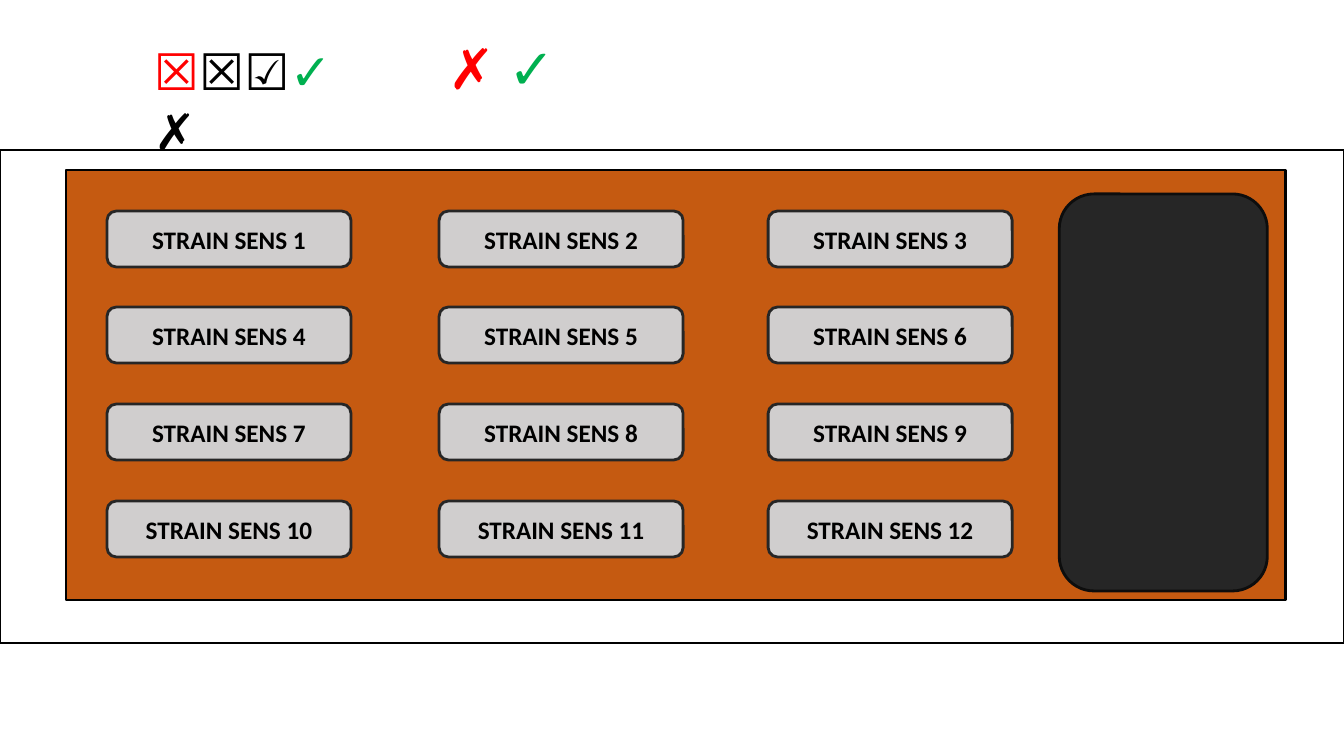
from lxml import etree
from pptx import Presentation
from pptx import util as u
from pptx.dml.color import RGBColor
from pptx.enum import shapes, text
from pptx.oxml.ns import qn

PX = 914400 / 100.8
COLORS = {
    "board": "C55A11", "sensor": "D0CECE", "dark": "262626", "edge": "0D0D0D",
    "black": "000000", "white": "FFFFFF", "red": "FF0000", "green": "00B050",
}
RECT = shapes.MSO_SHAPE.RECTANGLE
ROUND = shapes.MSO_SHAPE.ROUNDED_RECTANGLE

deck = Presentation()
deck.slide_width, deck.slide_height = u.Inches(13.33), u.Inches(7.5)
page = deck.slides.add_slide(deck.slide_layouts[6])


def add_block(kind, bounds, fill, line, weight=2):
    block = page.shapes.add_shape(kind, *[round(n * PX) for n in bounds])
    block.shadow.inherit = False
    if fill:
        block.fill.solid()
        block.fill.fore_color.rgb = RGBColor.from_string(COLORS[fill])
    else:
        block.fill.background()
    block.line.color.rgb = RGBColor.from_string(COLORS[line])
    block.line.width = u.Pt(weight)
    return block


def add_marks(bounds, size, marks):
    box = page.shapes.add_textbox(*[round(n * PX) for n in bounds])
    box.text_frame.word_wrap = True
    box.text_frame.auto_size = text.MSO_AUTO_SIZE.SHAPE_TO_FIT_TEXT
    for symbols, color, bold, outline in marks:
        span = box.text_frame.paragraphs[0].add_run()
        span.text = symbols
        span.font.name, span.font.size, span.font.bold = "Arial", u.Pt(size), bold
        span.font.color.rgb = RGBColor.from_string(COLORS[color])
        if outline:
            line = etree.Element(qn("a:ln"), w=str(u.Pt(0.75)))
            fill = etree.SubElement(line, qn("a:solidFill"))
            etree.SubElement(fill, qn("a:srgbClr"), val=COLORS[outline])
            span.font._element.insert(0, line)


# Row of check and cross symbols
add_marks((144, 35, 229, 72), 36, [
    ("☒", "red", False, None),
    ("☒☑", "black", False, None),
    ("✓", "green", True, "white"),
    ("✗", "black", False, None),
])

# Board
add_block(RECT, (66, 170, 1219, 430), "board", "black")

# Sensor grid, numbered row by row
for row in range(4):
    for column, left in enumerate((107, 439, 768)):
        top = 211 + row * 290 // 3
        sensor = add_block(ROUND, (left, top, 244, 56), "sensor", "dark")
        frame = sensor.text_frame
        frame.text = f"STRAIN SENS {row * 3 + column + 1}"
        frame.vertical_anchor = text.MSO_ANCHOR.MIDDLE
        paragraph = frame.paragraphs[0]
        paragraph.alignment = text.PP_ALIGN.CENTER
        font = paragraph.runs[0].font
        font.name, font.size, font.bold = "Calibri", u.Pt(18), True
        font.color.rgb = RGBColor.from_string(COLORS["black"])

# Dark module and outer frame
add_block(ROUND, (1059, 194, 208, 397), "dark", "edge")
add_block(RECT, (0, 150, 1344, 493), None, "black", 1.5)

# Large check and cross
add_marks((498, 29, 65, 78), 40, [("✓", "green", True, "black")])
add_marks((439, 29, 58, 78), 40, [("✗", "red", True, "black")])

deck.save("out.pptx")
